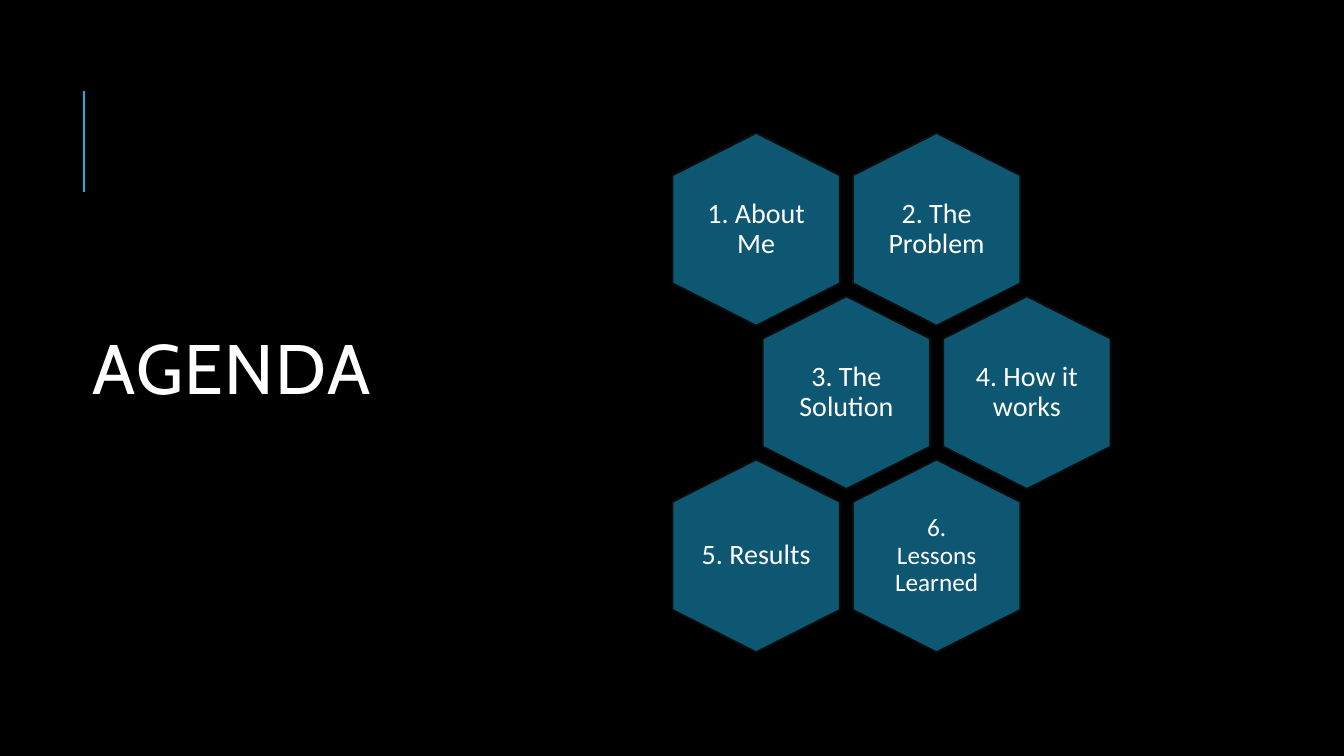
"""Build the agenda slide: a title beside a honeycomb of six topics."""
import pptx
import pptx.dml.color
import pptx.enum.shapes
import pptx.enum.text
import pptx.oxml.ns
import pptx.util
from lxml import etree

Inches, Pt = pptx.util.Inches, pptx.util.Pt

TITLE = "AGENDA"
TOPIC_ROWS = [
    [("1. About Me", 20, 0.26), ("2. The Problem", 20, 0.34)],
    [("3. The Solution", 20, 0.34), ("4. How it works", 20, 0.26)],
    [("5. Results", 20, 0.26), ("6. Lessons Learned", 18, 0.34)],
]
COLORS = {"background": "000000", "accent": "1CADE4", "cell": "0E5772",
          "edge": "0D0D0D", "text": "FFFFFF"}
COMB_LEFT, COMB_TOP = 6.67, 1.32
CELL_WIDTH, CELL_HEIGHT = 1.66, 1.91
COLUMN_STEP, ROW_STEP = 1.79, 1.62
SHOULDER = 0.42
INSET_EXTRA = 0.04


def color(name):
    return pptx.dml.color.RGBColor.from_string(COLORS[name])


def style_paragraph(paragraph, face, size, alignment, spacing):
    paragraph.alignment = alignment
    paragraph.line_spacing = spacing
    paragraph.font.name = face
    paragraph.font.size = Pt(size)
    paragraph.font.color.rgb = color("text")


def add_title(slide):
    title = slide.shapes.title
    title.left, title.top = Inches(0.82), Inches(1.14)
    title.width, title.height = Inches(3.34), Inches(5.15)
    frame = title.text_frame
    frame.text = TITLE
    frame.word_wrap = True
    frame.vertical_anchor = pptx.enum.text.MSO_ANCHOR.MIDDLE
    heading = frame.paragraphs[0]
    style_paragraph(heading, "Cabin", 50, pptx.enum.text.PP_ALIGN.LEFT, 0.8)
    heading.runs[0].font._element.set("spc", "100")


def add_accent(slide):
    accent = slide.shapes.add_connector(
        pptx.enum.shapes.MSO_CONNECTOR.STRAIGHT,
        Inches(0.83), Inches(1.9), Inches(0.83), Inches(0.9))
    accent.line.color.rgb = color("accent")
    accent.line.width = Pt(1.5)
    etree.SubElement(accent._element.spPr, pptx.oxml.ns.qn("a:effectLst"))


def add_topic(slide, left, top, topic, size, inset):
    right, bottom, middle = left + CELL_WIDTH, top + CELL_HEIGHT, left + CELL_WIDTH / 2
    upper, lower = top + SHOULDER, bottom - SHOULDER
    corners = [(middle, top), (right, upper), (right, lower),
               (middle, bottom), (left, lower), (left, upper)]
    start, *others = [(Inches(x), Inches(y)) for x, y in corners]
    outline = slide.shapes.build_freeform(*start)
    outline.add_line_segments(others, close=True)
    cell = outline.convert_to_shape()
    cell.shadow.inherit = False
    cell.fill.solid()
    cell.fill.fore_color.rgb = color("cell")
    cell.line.color.rgb = color("edge")
    cell.line.width = Pt(1.25)
    frame = cell.text_frame
    frame.text = topic
    frame.word_wrap = True
    frame.vertical_anchor = pptx.enum.text.MSO_ANCHOR.MIDDLE
    frame.margin_left = frame.margin_right = Inches(inset)
    frame.margin_top = frame.margin_bottom = Inches(inset + INSET_EXTRA)
    style_paragraph(frame.paragraphs[0], "Calibri", size,
                    pptx.enum.text.PP_ALIGN.CENTER, 0.9)


def main():
    deck = pptx.Presentation()
    deck.slide_width, deck.slide_height = Inches(13.33), Inches(7.5)
    slide = deck.slides.add_slide(deck.slide_layouts.get_by_name("Title Only"))
    slide.background.fill.solid()
    slide.background.fill.fore_color.rgb = color("background")
    add_accent(slide)
    add_title(slide)
    for row, topics in enumerate(TOPIC_ROWS):
        for column, (topic, size, inset) in enumerate(topics):
            left = COMB_LEFT + (column + row % 2 / 2) * COLUMN_STEP
            add_topic(slide, left, COMB_TOP + row * ROW_STEP, topic, size, inset)
    deck.save("out.pptx")


if __name__ == "__main__":
    main()
